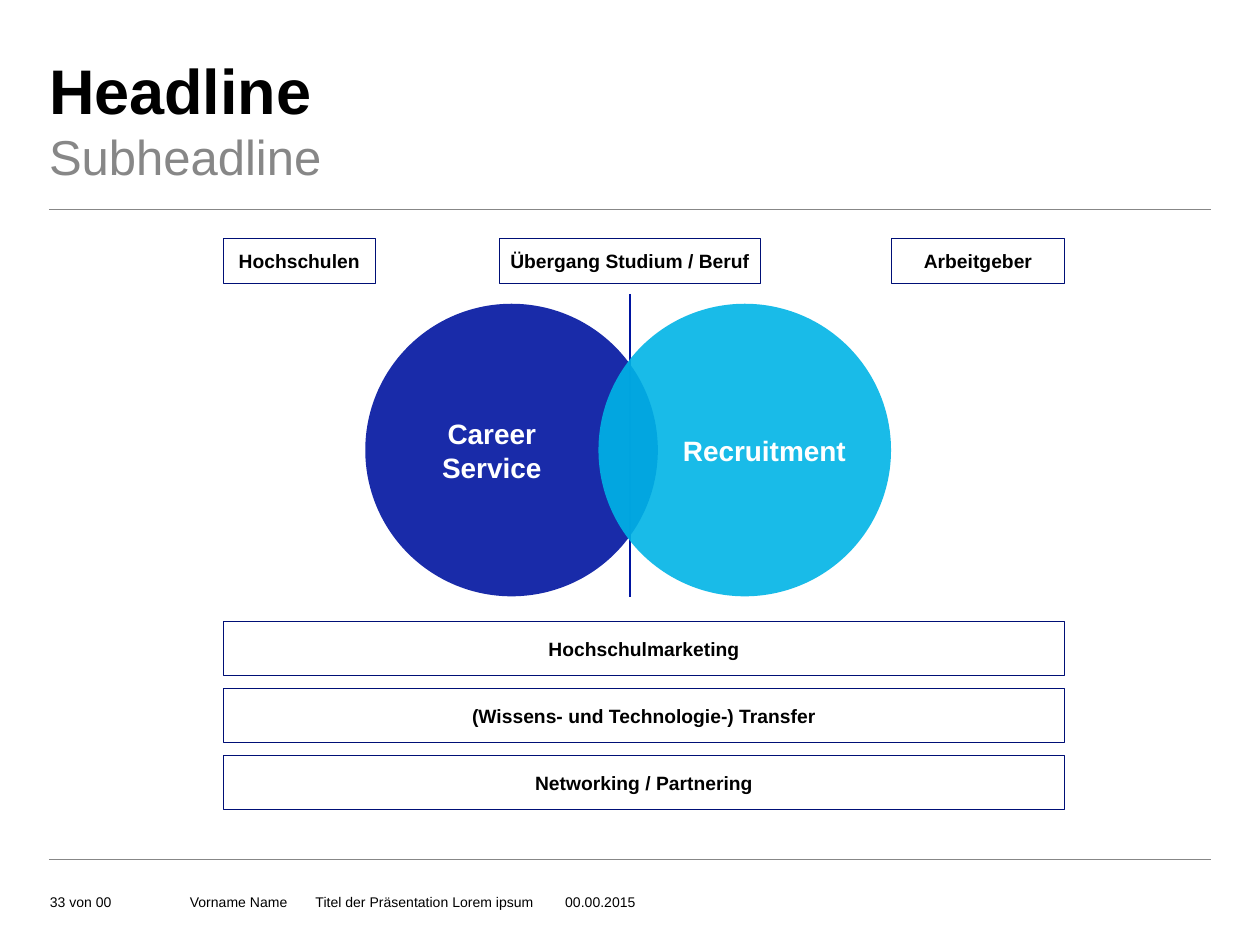
from dataclasses import dataclass

from lxml.etree import SubElement
from pptx import Presentation
from pptx.dml.color import RGBColor
from pptx.enum.shapes import MSO_CONNECTOR, MSO_SHAPE
from pptx.enum.text import MSO_ANCHOR, PP_ALIGN
from pptx.oxml.ns import qn
from pptx.util import Pt


@dataclass(frozen=True)
class Theme:
    font: str = "Arial"
    black: str = "000000"
    white: str = "FFFFFF"
    gray: str = "878787"
    navy: str = "0014A0"
    border: str = "000F76"
    cyan: str = "00B4E6"
    headline: int = 36
    subheadline: int = 28
    circle: int = 16
    box: int = 11
    footer: int = 8


THEME = Theme()
MARGIN, RULE_RIGHT = 28, 692
DIAGRAM_LEFT, DIAGRAM_WIDTH = 127.5, 481
CIRCLE_TOP, CIRCLE_SIZE = 173.6, 167.2


def rgb(color):
    return RGBColor.from_string(color)


def write(shape, text, size, color, bold=False, align=PP_ALIGN.LEFT,
          anchor=MSO_ANCHOR.BOTTOM, insets=(0, 0, 0, 0)):
    tf = shape.text_frame
    tf.text = text
    tf.word_wrap = True
    tf.vertical_anchor = anchor
    tf.margin_left, tf.margin_top, tf.margin_right, tf.margin_bottom = map(Pt, insets)
    for p in tf.paragraphs:
        p.alignment = align
        for r in p.runs:
            r.font.name = THEME.font
            r.font.size = Pt(size)
            r.font.bold = bold
            r.font.color.rgb = rgb(color)


def add_title(s, text):
    sp = s.shapes.title
    sp.left, sp.top, sp.width, sp.height = Pt(MARGIN), Pt(28.4), Pt(502), Pt(44.5)
    write(sp, text, THEME.headline, THEME.black, bold=True)


def add_text(s, bounds, text, size, color):
    sp = s.shapes.add_textbox(*map(Pt, bounds))
    write(sp, text, size, color)
    return sp


def add_tab_stops(p, positions):
    tabs = SubElement(p._p.get_or_add_pPr(), qn("a:tabLst"))
    for position in positions:
        SubElement(tabs, qn("a:tab"), pos=str(Pt(position)), algn="l")


def add_line(s, start, end, color, width):
    line = s.shapes.add_connector(MSO_CONNECTOR.STRAIGHT, *map(Pt, start + end))
    line.line.color.rgb = rgb(color)
    line.line.width = Pt(width)
    SubElement(line._element.spPr, qn("a:effectLst"))


def add_filled_shape(s, kind, bounds, color):
    sp = s.shapes.add_shape(kind, *map(Pt, bounds))
    sp.shadow.inherit = False
    sp.fill.solid()
    sp.fill.fore_color.rgb = rgb(color)
    return sp


def add_box(s, left, top, width, height, text):
    sp = add_filled_shape(s, MSO_SHAPE.RECTANGLE, (left, top, width, height), THEME.white)
    sp.line.color.rgb = rgb(THEME.border)
    sp.line.width = Pt(0.5)
    write(sp, text, THEME.box, THEME.black, True, PP_ALIGN.CENTER,
          MSO_ANCHOR.MIDDLE, (3.6, 3.6, 3.6, 3.6))


def add_circle(s, left, text, color, insets):
    """Add a circle that is 90 percent opaque, so that the overlap shows."""
    bounds = (left, CIRCLE_TOP, CIRCLE_SIZE, CIRCLE_SIZE)
    sp = add_filled_shape(s, MSO_SHAPE.OVAL, bounds, color)
    sp.line.fill.background()
    fill_color = sp._element.spPr.find(qn("a:solidFill"))[0]
    SubElement(fill_color, qn("a:alpha"), val="90000")
    write(sp, text, THEME.circle, THEME.white, True, PP_ALIGN.CENTER,
          MSO_ANCHOR.MIDDLE, insets)


def add_footer(s):
    add_text(s, (28.5, 497, 76, 23), "33 von 00", THEME.footer, THEME.black)
    details = "Vorname Name\tTitel der Präsentation Lorem ipsum\t00.00.2015"
    sp = add_text(s, (108.5, 497, 535, 23), details, THEME.footer, THEME.black)
    add_tab_stops(sp.text_frame.paragraphs[0], (71.8, 214.5))


def main():
    prs = Presentation()
    prs.slide_width, prs.slide_height = Pt(720), Pt(540)
    s = prs.slides.add_slide(prs.slide_layouts[5])

    add_title(s, "Headline")
    add_text(s, (MARGIN, 66.2, 502, 39.5), "Subheadline", THEME.subheadline, THEME.gray)
    for y in (119.5, 491):
        add_line(s, (MARGIN, y), (RULE_RIGHT, y), THEME.gray, 0.5)
    add_footer(s)

    add_circle(s, 208.75, "Career\nService", THEME.navy, (0, 3.6, 22.5, 3.6))
    add_line(s, (360, 168), (360, 341), THEME.navy, 1)
    for left, width, text in (
        (DIAGRAM_LEFT, 87, "Hochschulen"),
        (285.25, 149.5, "Übergang Studium / Beruf"),
        (509.25, 99.25, "Arbeitgeber"),
    ):
        add_box(s, left, 136.1, width, 26, text)
    for i, text in enumerate((
        "Hochschulmarketing",
        "(Wissens- und Technologie-) Transfer",
        "Networking / Partnering",
    )):
        add_box(s, DIAGRAM_LEFT, 355.1 + i * 38.25, DIAGRAM_WIDTH, 31, text)
    add_circle(s, 342, "Recruitment", THEME.cyan, (22.5, 3.6, 0, 3.6))

    prs.save("out.pptx")


if __name__ == "__main__":
    main()
